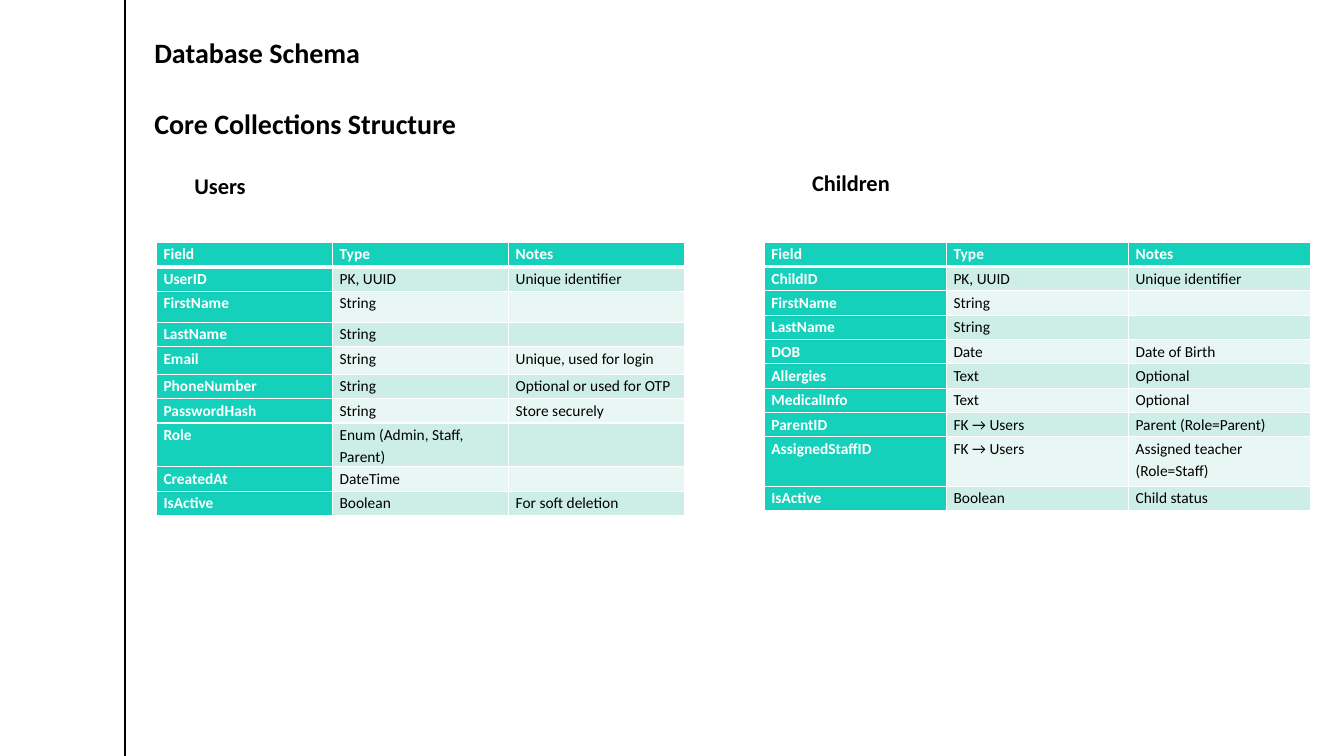
from lxml import etree
from pptx import Presentation
from pptx import util as u
from pptx.dml.color import RGBColor
from pptx.enum import shapes, text
from pptx.oxml import ns

BLACK = RGBColor(0x00, 0x00, 0x00)
WHITE = RGBColor(0xFF, 0xFF, 0xFF)
TEAL = RGBColor(0x15, 0xD1, 0xBB)
MINT = RGBColor(0xCC, 0xEE, 0xE7)
PALE = RGBColor(0xE8, 0xF7, 0xF3)

HEAD = ("Field", "Type", "Notes")
USERS = [
    HEAD,
    ("UserID", "PK, UUID", "Unique identifier"),
    ("FirstName", "String", ""),
    ("LastName", "String", ""),
    ("Email", "String", "Unique, used for login"),
    ("PhoneNumber", "String", "Optional or used for OTP"),
    ("PasswordHash", "String", "Store securely"),
    ("Role", "Enum (Admin, Staff, Parent)", ""),
    ("CreatedAt", "DateTime", ""),
    ("IsActive", "Boolean", "For soft deletion"),
]
CHILDREN = [
    HEAD,
    ("ChildID", "PK, UUID", "Unique identifier"),
    ("FirstName", "String", ""),
    ("LastName", "String", ""),
    ("DOB", "Date", "Date of Birth"),
    ("Allergies", "Text", "Optional"),
    ("MedicalInfo", "Text", "Optional"),
    ("ParentID", "FK → Users", "Parent (Role=Parent)"),
    ("AssignedStaffID", "FK → Users", "Assigned teacher (Role=Staff)"),
    ("IsActive", "Boolean", "Child status"),
]


def write(frame, *lines, size, color=BLACK, bold=True, space=1.0, before=0, after=0):
    frame.word_wrap = True
    frame.vertical_anchor = text.MSO_ANCHOR.TOP
    for i, line in enumerate(lines):
        para = frame.add_paragraph() if i else frame.paragraphs[0]
        para.alignment = text.PP_ALIGN.LEFT
        para.line_spacing = space
        para.space_before, para.space_after = u.Pt(before), u.Pt(after)
        if line:
            run = para.add_run()
            run.text = line
            run.font.name, run.font.size = "Calibri", u.Pt(size)
            run.font.bold, run.font.color.rgb = bold, color
        else:
            etree.SubElement(para._p, ns.qn("a:endParaRPr"), sz=str(size * 100))


def border(cell, **widths):
    props = cell._tc.get_or_add_tcPr()
    for side, width in widths.items():
        line = etree.SubElement(props, ns.qn(f"a:ln{side}"), w=str(u.Pt(width)))
        fill = etree.SubElement(line, ns.qn("a:solidFill"))
        etree.SubElement(fill, ns.qn("a:srgbClr"), val=str(WHITE))


class Page:
    """Draws styled elements on one slide, with lengths in points."""

    def __init__(self, slide):
        self.slide = slide
        self.shapes = slide.shapes

    def title(self, *lines, box):
        shape = self.shapes.title
        shape.left, shape.top, shape.width, shape.height = map(u.Pt, box)
        shape.text_frame.auto_size = text.MSO_AUTO_SIZE.NONE
        write(shape.text_frame, *lines, size=20, space=1.2, before=8, after=14)

    def rule(self, x, top, bottom):
        line = self.shapes.add_connector(
            shapes.MSO_CONNECTOR.STRAIGHT, u.Pt(x), u.Pt(top), u.Pt(x), u.Pt(bottom))
        line.line.color.rgb, line.line.width = BLACK, u.Pt(1)
        etree.SubElement(line._element.spPr, ns.qn("a:effectLst"))

    def label(self, words, box):
        frame = self.shapes.add_textbox(*map(u.Pt, box)).text_frame
        frame.margin_top = u.Pt(18)
        write(frame, words, size=16)

    def table(self, rows, left, top, width, step, tall):
        count = len(rows[0])
        heights = [tall.get(row[0], step) for row in rows]
        grid = self.shapes.add_table(
            len(rows), count, u.Pt(left), u.Pt(top), u.Pt(width), u.Pt(sum(heights))).table
        grid.horz_banding = False
        for col in grid.columns:
            col.width = u.Pt(width / count)
        for r, row in enumerate(rows):
            grid.rows[r].height = u.Pt(heights[r])
            for c, words in enumerate(row):
                key = r == 0 or c == 0
                fill = TEAL if key else MINT if r % 2 else PALE
                self.cell(grid.cell(r, c), words, r, key, fill)

    def cell(self, cell, words, r, key, fill):
        border(cell, L=1, R=1, T=3 if r == 1 else 1, B=3 if r == 0 else 1)
        cell.fill.solid()
        cell.fill.fore_color.rgb = fill
        cell.margin_left = cell.margin_right = u.Pt(5)
        cell.margin_top = cell.margin_bottom = 0
        write(cell.text_frame, words, size=11, color=WHITE if key else BLACK,
              bold=key, space=1.15, after=10)


def main():
    deck = Presentation()
    deck.slide_width, deck.slide_height = u.Pt(960), u.Pt(540)
    page = Page(deck.slides.add_slide(deck.slide_layouts[5]))
    page.rule(89.3, 0, 540)
    page.title("Database Schema", "Core Collections Structure", box=(103, 16.6, 533.5, 85))
    page.table(USERS, 111.8, 173, 377.4, 17.5,
               {"FirstName": 22.3, "Email": 19.5, "Role": 30.8})
    page.label("Users", (131.8, 105, 130, 63.4))
    page.table(CHILDREN, 546, 173, 390.3, 17.4, {"AssignedStaffID": 35.3})
    page.label("Children", (573, 103, 284.4, 63.4))
    deck.save("out.pptx")


if __name__ == "__main__":
    main()
